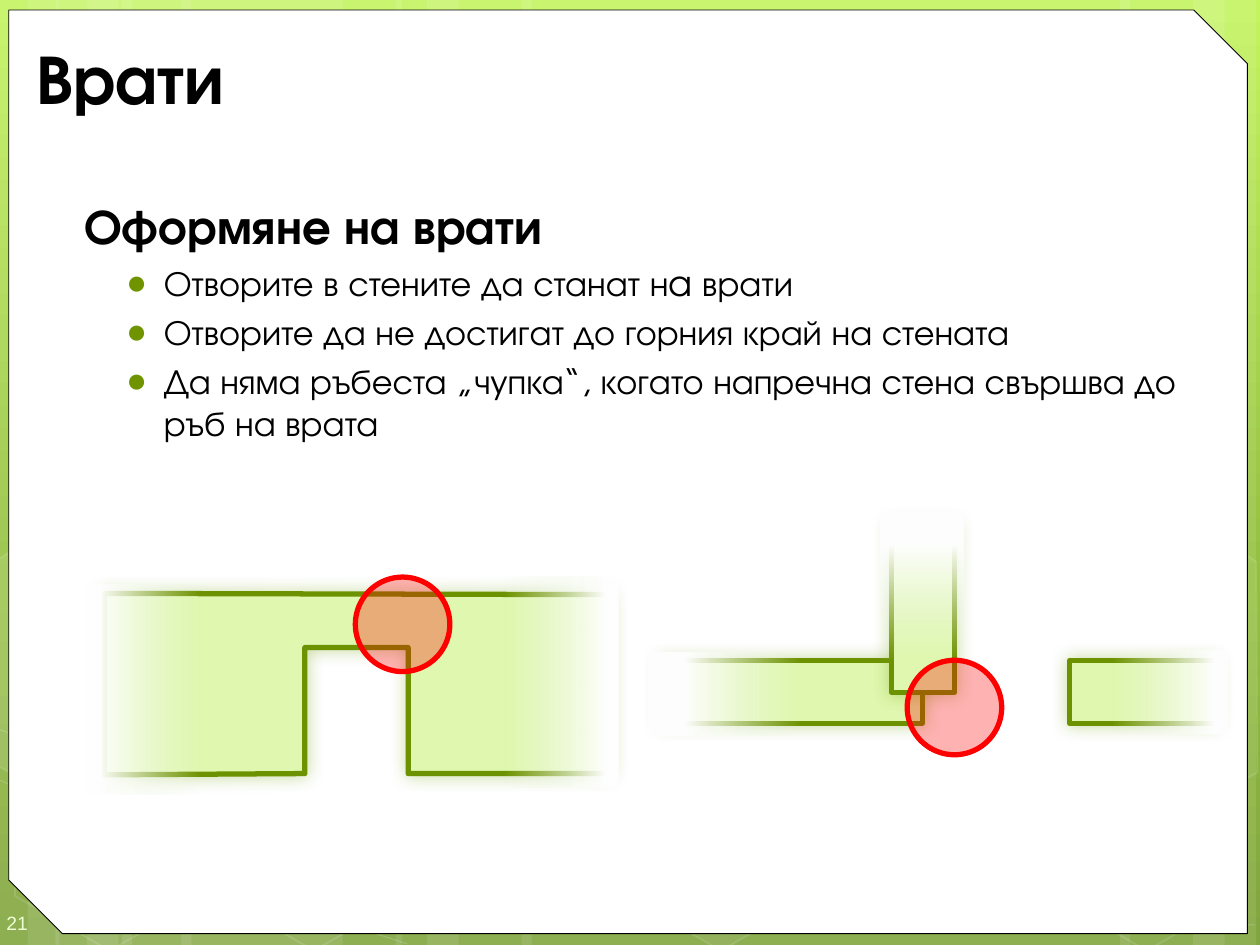
import pptx
import pptx.util
import pptx.dml.color
import pptx.enum.shapes
import pptx.enum.text
import pptx.oxml
import pptx.oxml.ns
from lxml import etree

Pt, Inch = pptx.util.Pt, pptx.util.Inches
RGB = pptx.dml.color.RGBColor
KIND = pptx.enum.shapes.MSO_SHAPE
ANCHOR = pptx.enum.text.MSO_ANCHOR
ALIGN = pptx.enum.text.PP_ALIGN
qn = pptx.oxml.ns.qn

WHITE, BLACK, RED = RGB(255, 255, 255), RGB(0, 0, 0), RGB(255, 0, 0)
WALL, EDGE, GLOW = RGB(0xDF, 0xF7, 0xAE), RGB(0x6D, 0x92, 0), RGB(0x74, 0xA5, 0x10)
HAZE, DOT, PALE = RGB(0xEC, 0xF8, 0xDE), RGB(0x6F, 0x94, 0), RGB(0xEE, 0xFF, 0xD6)
SKY = [(0, RGB(0xC3, 0xF3, 0x5F), 100), (62, RGB(0x93, 0xBF, 0x3F), 100),
       (100, RGB(0x81, 0xA5, 0x3E), 100)]
FACE = "TeX Gyre Adventor"
WIDE, HIGH = 10, 7.5

STRIPES = [(0.97, 1.75), (-0.03, 0.5), (0.22, 0.83), (1.44, 1.75), (0.44, 0.5),
           (0.69, 0.83), (7.22, 1.75), (9.47, 0.5), (8.89, 0.83), (4.14, 3.08),
           (3.14, 0.5), (3.39, 0.83)]
CURVES = [[(-0.05, 6.17), (1.12, 6.7), (2.3, 7.19), (3.23, 7.49)],
          [(-0.04, 5.78), (1.17, 6.16), (3.45, 6.73), (6.17, 7.18), (8.41, 7.36), (9.96, 7.34)]]
CELLS = [(0, 0), (1.62, 0), (4.85, 6), (8.23, 0)]
SIDES = [([(-0.03, 4.45), (0.08, 4.38), (0.85, 4.82), (0.84, 5.7), (0.09, 6.14), (-0.03, 6.07)], 10),
         ([(9.15, 4.85), (9.9, 4.41), (9.97, 4.46), (9.98, 6.13), (9.91, 6.17), (9.14, 5.73)], 4)]
DOOR = [(0.83, 6.15), (2.42, 6.14), (2.42, 5.14), (3.24, 5.14),
        (3.24, 6.14), (4.83, 6.14), (4.83, 4.72), (0.83, 4.71)]
POINTS = ["Отворите в стените да станат нa врати",
          "Отворите да не достигат до горния край на стената",
          "Да няма ръбеста „чупка“, когато напречна стена свършва до ръб на врата"]


def sub(node, tag, **attrs):
    return etree.SubElement(node, qn(tag), {k: str(v) for k, v in attrs.items()})


def tint(node, share):
    """Make the colour held in a fill or line element see-through."""
    for color in node.iter(qn("a:srgbClr")):
        sub(color, "a:alpha", val=share * 1000)


def blend(holder, stops, angle):
    """Swap the solid fill of a holder for a linear gradient."""
    old = holder.find(qn("a:solidFill"))
    grad = etree.Element(qn("a:gradFill"), rotWithShape="1")
    rows = sub(grad, "a:gsLst")
    for pos, color, share in stops:
        tone = sub(sub(rows, "a:gs", pos=pos * 1000), "a:srgbClr", val=color)
        if share < 100:
            sub(tone, "a:alpha", val=share * 1000)
    sub(grad, "a:lin", ang=angle * 60000, scaled=0)
    holder.replace(old, grad)


def paint(shape, fill=None, share=100, line=None, width=1, clear=100):
    """Give a shape its fill and line, each with an opacity in percent."""
    shape.shadow.inherit = False
    props = shape._element.spPr
    if fill is None:
        shape.fill.background()
    else:
        shape.fill.solid()
        shape.fill.fore_color.rgb = fill
        if share < 100:
            tint(props.find(qn("a:solidFill")), share)
    if line is None:
        shape.line.fill.background()
    else:
        shape.line.color.rgb = line
        shape.line.width = Pt(width)
        if clear < 100:
            tint(props.find(qn("a:ln")), clear)
    return shape


def block(slide, kind, x, y, w, h, turn=0):
    shape = slide.shapes.add_shape(kind, Inch(x), Inch(y), Inch(w), Inch(h))
    shape.rotation = turn
    return shape


def trace(slide, dots, close=True):
    """Draw an outline in whole hundredths of an inch."""
    grid = [(round(x * 100), round(y * 100)) for x, y in dots]
    pen = slide.shapes.build_freeform(*grid[0], scale=Inch(0.01))
    pen.add_line_segments(grid[1:], close=close)
    return pen.convert_to_shape()


def wall(shape):
    paint(shape, WALL, line=EDGE, width=3)
    effects = shape._element.spPr.find(qn("a:effectLst"))
    glow = sub(effects, "a:outerShdw", blurRad=Pt(10), dist=0, dir=45 * 60000,
               algn="ctr", rotWithShape=0)
    sub(sub(glow, "a:srgbClr", val=GLOW), "a:alpha", val=40000)


def fade(slide, x, y, w, h, turn=0, start=11):
    """Cover the end of a wall with white that thins out."""
    shape = paint(block(slide, KIND.RECTANGLE, x, y, w, h, turn), WHITE)
    blend(shape._element.spPr, [(start, WHITE, 100), (100, HAZE, 0)], 0)


def ring(slide, x, y):
    paint(block(slide, KIND.OVAL, x, y, 0.75, 0.75), RED, 30, RED, 3)


def style(para, size, color, bold=False, face=FACE):
    para.font.size, para.font.bold, para.font.name = Pt(size), bold, face
    para.font.color.rgb = color


def place(shape, x, y, w, h):
    shape.left, shape.top, shape.width, shape.height = map(Inch, (x, y, w, h))


def frame(slide):
    back = slide.background.fill
    back.solid()
    back.fore_color.rgb = WHITE
    blend(slide._element.cSld.find(qn("p:bg")).find(qn("p:bgPr")), SKY, 90)
    for x, w in STRIPES:
        paint(block(slide, KIND.RECTANGLE, x, 0, w, HIGH), WHITE, 10)
    for dots in CURVES:
        paint(trace(slide, dots, False), line=WHITE, width=0.5, clear=20)
    for x, share in CELLS:
        cell = block(slide, KIND.HEXAGON, x, 5.91, 1.75, 1.52, 30)
        cell.adjustments[0] = 0.29
        paint(cell, WHITE if share else None, share, WHITE, 1, 12)
    for dots, share in SIDES:
        paint(trace(slide, dots), WHITE, share, WHITE, 1, 12)
    sheet = block(slide, KIND.SNIP_2_DIAG_RECTANGLE, 0.07, 0.08, 9.83, 7.33)
    sheet.adjustments[0], sheet.adjustments[1] = 0, 0.058
    paint(sheet, WHITE, line=BLACK, width=0.5)


def number(slide):
    box = slide.shapes.add_textbox(Inch(0), Inch(7.1), Inch(0.58), Inch(0.4)).text_frame
    box.word_wrap, box.vertical_anchor = True, ANCHOR.MIDDLE
    box.margin_left, box.margin_top, box.margin_right, box.margin_bottom = map(
        Inch, (0.05, 0.15, 0, 0.1))
    box.text = "21"
    style(box.paragraphs[0], 11, PALE, face="Arial")


def title(slide):
    head = slide.shapes.title
    place(head, 0.19, 0.25, 9.47, 0.71)
    head.text_frame.text = "Врати"
    head.text_frame.vertical_anchor = ANCHOR.MIDDLE
    para = head.text_frame.paragraphs[0]
    para.alignment = ALIGN.LEFT
    style(para, 40, BLACK, True)


def body(slide):
    box = slide.placeholders[1]
    place(box, 0.5, 1.5, 9.42, 5.92)
    text = box.text_frame
    text.text = "Оформяне на врати"
    para = text.paragraphs[0]
    props = para._p.get_or_add_pPr()
    props.set("marL", str(Inch(0.07)))
    props.set("indent", "0")
    sub(props, "a:buNone")
    para.space_before = Pt(0)
    style(para, 28, BLACK, True)
    for words in POINTS:
        para = text.add_paragraph()
        para.text, para.level = words, 1
        props = para._p.get_or_add_pPr()
        props.set("marL", str(Inch(0.7)))
        props.set("indent", str(Inch(-0.3)))
        sub(sub(props, "a:buClr"), "a:srgbClr", val=DOT)
        sub(props, "a:buChar", char="●")
        para.space_before = Pt(4)
        style(para, 20, BLACK)


def arch(slide):
    wall(trace(slide, DOOR))
    fade(slide, 0.68, 4.64, 0.91, 1.67)
    fade(slide, 4, 4.58, 0.91, 1.67, 180)


def plan(slide):
    for x, y, w, turn in [(5.25, 5.24, 2.07, 0), (8.49, 5.24, 1.16, 0), (6.66, 4.58, 1.33, 90)]:
        wall(block(slide, KIND.RECTANGLE, x, y, w, 0.5, turn))
    fade(slide, 8.83, 5.16, 0.91, 0.66, 180)
    fade(slide, 6.72, 4.31, 1.2, 0.66, 90, 23)
    fade(slide, 5.15, 5.18, 1.2, 0.66, 0, 23)


def main():
    deck = pptx.Presentation()
    deck.slide_width, deck.slide_height = Inch(WIDE), Inch(HIGH)
    slide = deck.slides.add_slide(deck.slide_layouts[1])
    holders = list(slide.placeholders)
    frame(slide)
    number(slide)
    for holder in holders:  # lift the text above the sheet
        slide.shapes._spTree.append(holder._element)
    title(slide)
    body(slide)
    arch(slide)
    plan(slide)
    ring(slide, 2.82, 4.58)
    ring(slide, 7.2, 5.24)
    deck.save("out.pptx")


if __name__ == "__main__":
    main()
